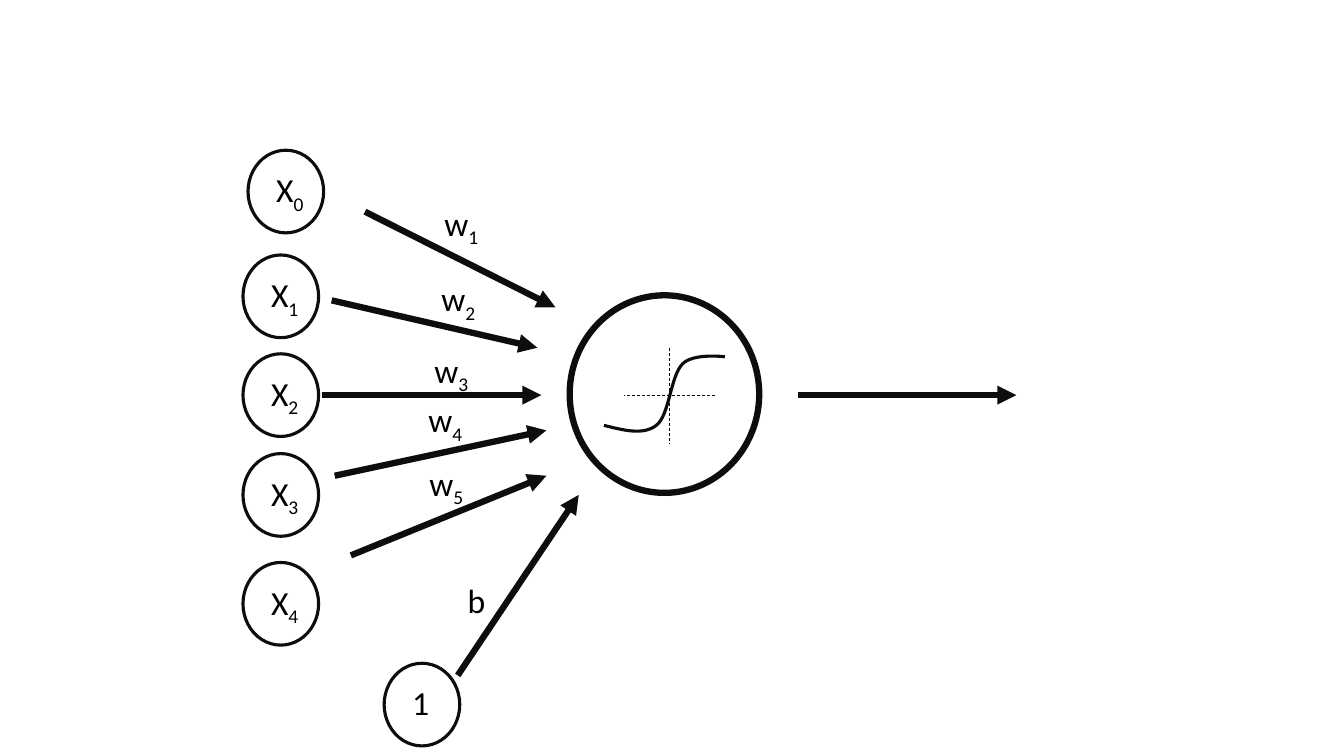
"""Draw a single artificial neuron with weighted inputs, a bias and an output."""
from lxml import etree
from pptx import Presentation
from pptx import util as u
from pptx.dml.color import RGBColor
from pptx.enum import dml, shapes
from pptx.oxml import ns

PX = 9144
INK = RGBColor(0x0D, 0x0D, 0x0D)
BLACK = RGBColor(0, 0, 0)

INPUTS = [(246, 149), (241, 253), (241, 351), (241, 450), (241, 558)]
BIAS = (381, 658)
ARROWS = [
    (362, 210, 551, 305),
    (329, 298, 533, 345),
    (319, 392, 537, 392),
    (332, 472, 542, 427),
    (348, 551, 542, 472),
    (454, 670, 574, 491),
    (791, 392, 1008, 392),
]
WEIGHTS = [(431, 196), (428, 271), (421, 342), (415, 391), (416, 454)]
SIGMOID = [
    [(599, 422), (619, 427), (638, 432), (651, 422)],
    [(651, 422), (664, 412), (665, 373), (677, 361)],
    [(677, 361), (688, 350), (719, 354), (719, 354)],
]
CURVE_STEPS = 16


def emu(*lengths):
    """Turn px lengths into EMU."""
    return [u.Emu(round(length * PX)) for length in lengths]


def style_line(line, color, points):
    """Set the colour and width of a line."""
    line.color.rgb = color
    line.width = u.Pt(points)


def add_circle(group, left, top, width, height, points):
    """Add an unfilled ellipse."""
    circle = group.shapes.add_shape(
        shapes.MSO_SHAPE.OVAL, *emu(left, top, width, height))
    circle.shadow.inherit = False
    circle.fill.background()
    style_line(circle.line, INK, points)


def add_line(parent, ends, color, points):
    """Add a straight line without a shadow and return it."""
    line = parent.shapes.add_connector(
        shapes.MSO_CONNECTOR.STRAIGHT, *emu(*ends))
    etree.SubElement(line._element.spPr, ns.qn("a:effectLst"))
    style_line(line.line, color, points)
    return line


def add_arrow(page, ends):
    """Add a thick line with a triangular head at its end."""
    arrow = add_line(page, ends, INK, 4.5)
    outline = arrow.line._get_or_add_ln()
    etree.SubElement(outline, ns.qn("a:tailEnd"), type="triangle")


def add_axis(group, ends):
    """Add a thin dashed axis."""
    axis = add_line(group, ends, BLACK, 0.5)
    axis.line.dash_style = dml.MSO_LINE.DASH


def add_label(parent, left, top, width, letter, index=""):
    """Add a symbol with an optional subscript."""
    box = parent.shapes.add_textbox(*emu(left, top, width, 50))
    box.text_frame.word_wrap = True
    para = box.text_frame.paragraphs[0]
    para.font.size = u.Pt(24)
    para.font.name = "Calibri"
    para.font.color.rgb = BLACK
    para.add_run().text = letter
    if index:
        span = para.add_run()
        span.text = index
        span._r.get_or_add_rPr().set("baseline", "-25000")


def add_node(page, left, top, letter, index=""):
    """Add a small circle grouped with its symbol."""
    group = page.shapes.add_group_shape()
    add_circle(group, left, top, 75, 82, 2.25)
    add_label(group, left + 18, top + 14, 50, letter, index)


def bezier_point(controls, t):
    """Return the point at t on a cubic curve."""
    factors = ((1 - t) ** 3, 3 * t * (1 - t) ** 2, 3 * t * t * (1 - t), t ** 3)
    return tuple(
        sum(factor * value for factor, value in zip(factors, axis))
        for axis in zip(*controls))


def add_curve(group, segments):
    """Add a smooth open curve through cubic segments."""
    points = [
        emu(*bezier_point(controls, step / CURVE_STEPS))
        for controls in segments for step in range(1, CURVE_STEPS + 1)]
    builder = group.shapes.build_freeform(*emu(*segments[0][0]))
    builder.add_line_segments(points, close=False)
    curve = builder.convert_to_shape()
    curve.shadow.inherit = False
    curve.fill.background()
    style_line(curve.line, INK, 2.25)


def add_neuron(page):
    """Add the large circle with its activation curve and axes."""
    group = page.shapes.add_group_shape()
    add_circle(group, 565, 293, 188, 196, 4.5)
    add_curve(group, SIGMOID)
    add_axis(group, (664, 345, 664, 440))
    add_axis(group, (709, 392, 619, 392))


def main():
    """Build and save the slide."""
    deck = Presentation()
    deck.slide_width, deck.slide_height = emu(1333, 750)
    page = deck.slides.add_slide(deck.slide_layouts[6])
    add_neuron(page)
    for ends in ARROWS:
        add_arrow(page, ends)
    for number, (left, top) in enumerate(INPUTS):
        add_node(page, left, top, "X", str(number))
    add_node(page, *BIAS, "1")
    for number, (left, top) in enumerate(WEIGHTS, start=1):
        add_label(page, left, top, 73, "w", str(number))
    add_label(page, 454, 570, 73, "b")
    deck.save("out.pptx")


if __name__ == "__main__":
    main()
